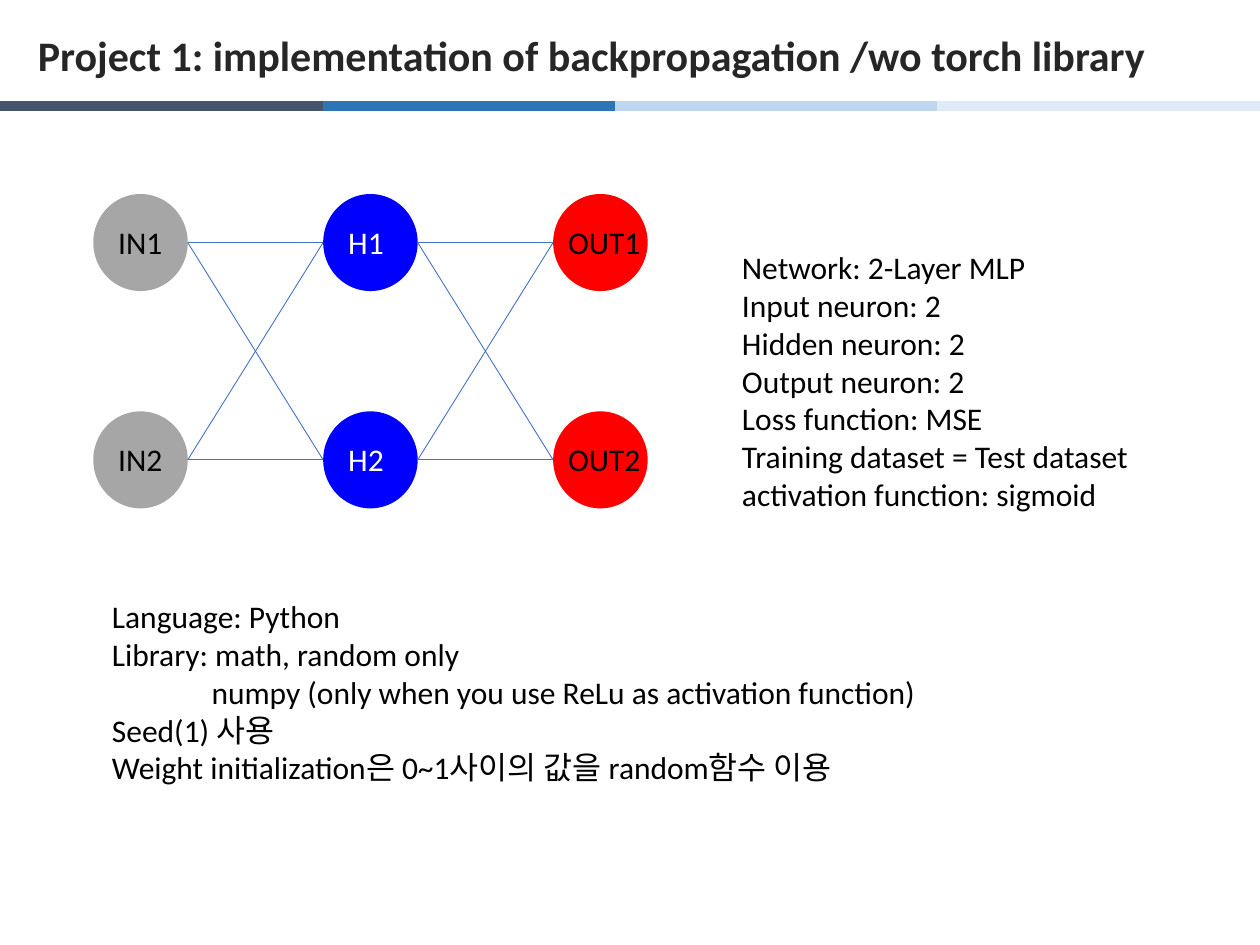
from dataclasses import dataclass
from itertools import product

from lxml.etree import SubElement
from pptx import Presentation
from pptx.dml.color import RGBColor
from pptx.enum.shapes import MSO_CONNECTOR, MSO_SHAPE
from pptx.enum.text import MSO_ANCHOR, MSO_AUTO_SIZE, PP_ALIGN
from pptx.oxml.ns import qn
from pptx.util import Inches, Pt

COLS, ROWS = 100, 75


@dataclass(frozen=True)
class Theme:
    font: str = "Calibri"
    title_size: int = 24
    body_size: int = 18
    bar_width: float = 6
    edge_width: float = 0.5
    title: str = "262626"
    text: str = "000000"
    light: str = "FFFFFF"
    edge: str = "4472C4"
    grey: str = "A6A6A6"
    blue: str = "0000FF"
    red: str = "FF0000"


@dataclass(frozen=True)
class Box:
    x: float
    y: float
    w: float
    h: float


@dataclass(frozen=True)
class Layer:
    name: str
    fill: str
    color: str
    label_dx: float
    label_w: float


@dataclass(frozen=True)
class Bar:
    x: float
    color: str


THEME = Theme()
LAYERS = (
    Layer("IN", THEME.grey, THEME.text, 1, 5.6),
    Layer("H", THEME.blue, THEME.light, 1, 4.9),
    Layer("OUT", THEME.red, THEME.text, 0.2, 7.8),
)
BAR_SPAN = 25.6
BARS = (
    Bar(23.2, "2E75B6"),
    Bar(48.8, "BDD7EE"),
    Bar(74.4, "DEEBF7"),
    Bar(0, "44546A"),
)
NEURONS = (0, 1)
NETWORK = (
    "Network: 2-Layer MLP",
    "Input neuron: 2",
    "Hidden neuron: 2",
    "Output neuron: 2",
    "Loss function: MSE",
    "Training dataset = Test dataset",
    "activation function: sigmoid",
)
RULES = (
    "Language: Python",
    "Library: math, random only",
    "numpy (only when you use ReLu as activation function)",
    "Seed(1) 사용",
    "Weight initialization은 0~1사이의 값을 random함수 이용",
)

prs = Presentation()
prs.slide_width, prs.slide_height = Inches(10), Inches(7.5)
s = prs.slides.add_slide(prs.slide_layouts[5])


def col(n: float) -> int:
    return round(prs.slide_width * n / COLS)


def row(n: float) -> int:
    return round(prs.slide_height * n / ROWS)


def place(box: Box) -> tuple[int, int, int, int]:
    return col(box.x), row(box.y), col(box.w), row(box.h)


def write(tf, *lines: str, size: float = THEME.body_size, color: str = THEME.text,
          bold: bool = False, wrap: bool = True, spacing: float = 1.0,
          fit: MSO_AUTO_SIZE = MSO_AUTO_SIZE.SHAPE_TO_FIT_TEXT,
          indents: dict[int, float] | None = None) -> None:
    tf.word_wrap = wrap
    tf.auto_size = fit
    for i, text in enumerate(lines):
        p = tf.paragraphs[0] if i == 0 else tf.add_paragraph()
        p.alignment = PP_ALIGN.LEFT
        p.line_spacing = spacing
        if indents and i in indents:
            p._p.get_or_add_pPr().set("marL", str(col(indents[i])))
        r = p.add_run()
        r.text = text
        r.font.name = THEME.font
        r.font.size = Pt(size)
        r.font.bold = bold
        r.font.color.rgb = RGBColor.from_string(color)


def add_text(box: Box, *lines: str, **fmt) -> None:
    write(s.shapes.add_textbox(*place(box)).text_frame, *lines, **fmt)


def add_line(x1: float, y1: float, x2: float, y2: float, color: str, width: float) -> None:
    sp = s.shapes.add_connector(MSO_CONNECTOR.STRAIGHT, col(x1), row(y1), col(x2), row(y2))
    sp.line.color.rgb = RGBColor.from_string(color)
    sp.line.width = Pt(width)
    SubElement(sp._element.spPr, qn("a:effectLst"))


def neuron_box(layer: int, neuron: int) -> Box:
    return Box(7.4 + 18.25 * layer, 15.4 + 17.25 * neuron, 7.5, 7.7)


def add_neuron(layer: int, neuron: int) -> None:
    sp = s.shapes.add_shape(MSO_SHAPE.OVAL, *place(neuron_box(layer, neuron)))
    sp.shadow.inherit = False
    sp.fill.solid()
    sp.fill.fore_color.rgb = RGBColor.from_string(LAYERS[layer].fill)
    sp.line.fill.background()


def add_edge(layer: int, start: int, end: int) -> None:
    a, b = neuron_box(layer, start), neuron_box(layer + 1, end)
    add_line(a.x + a.w, a.y + a.h / 2, b.x, b.y + b.h / 2, THEME.edge, THEME.edge_width)


def add_label(layer: int, neuron: int) -> None:
    box, style = neuron_box(layer, neuron), LAYERS[layer]
    add_text(Box(box.x + style.label_dx, box.y + 1.8, style.label_w, 4),
             f"{style.name}{neuron + 1}", color=style.color, wrap=False)


def main() -> None:
    for bar in BARS:
        add_line(bar.x, 8.4, bar.x + BAR_SPAN, 8.4, bar.color, THEME.bar_width)

    title = s.shapes.title
    title.left, title.top, title.width, title.height = place(Box(2, 1.6, 96, 6))
    title.text_frame.vertical_anchor = MSO_ANCHOR.MIDDLE
    write(title.text_frame, "Project 1: implementation of backpropagation /wo torch library",
          size=THEME.title_size, color=THEME.title, bold=True, spacing=0.9,
          fit=MSO_AUTO_SIZE.NONE)

    nodes = list(product(range(len(LAYERS)), NEURONS))
    for node in nodes:
        add_neuron(*node)
    for edge in product(range(len(LAYERS) - 1), NEURONS, NEURONS):
        add_edge(*edge)

    add_text(Box(57.9, 19.2, 37.1, 22.2), *NETWORK)
    add_text(Box(7.9, 46.9, 80.2, 16.2), *RULES, indents={2: 7.9})
    for node in nodes:
        add_label(*node)

    prs.save("out.pptx")


if __name__ == "__main__":
    main()
